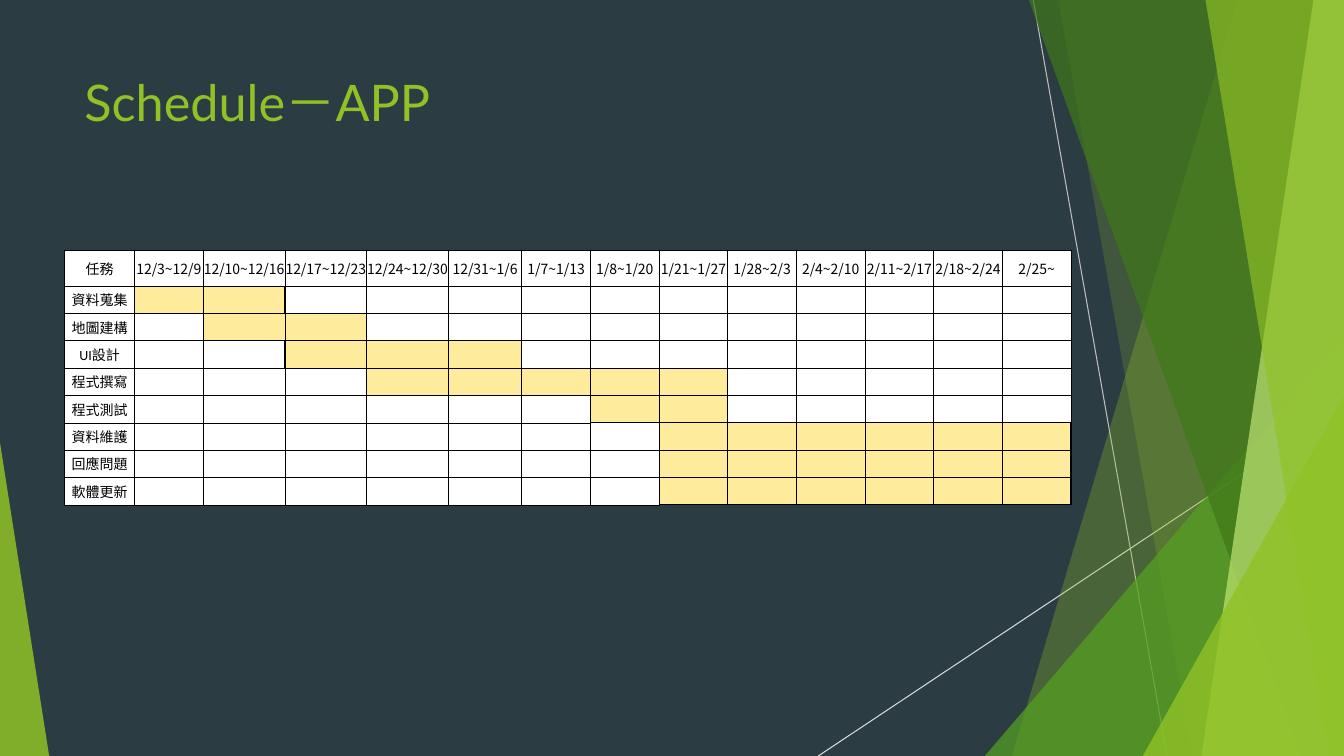
from lxml.etree import SubElement
from pptx import Presentation
from pptx.dml.color import RGBColor
from pptx.enum.shapes import MSO_CONNECTOR, MSO_SHAPE
from pptx.enum.text import MSO_ANCHOR, PP_ALIGN
from pptx.oxml.ns import qn
from pptx.util import Cm, Pt

TITLE = "Schedule－APP"
WEEKS = ["12/3~12/9", "12/10~12/16", "12/17~12/23", "12/24~12/30", "12/31~1/6",
         "1/7~1/13", "1/8~1/20", "1/21~1/27", "1/28~2/3", "2/4~2/10",
         "2/11~2/17", "2/18~2/24", "2/25~"]
# Task, first and last busy week (counted from 1)
TASKS = [
    ("資料蒐集", 1, 2),
    ("地圖建構", 2, 3),
    ("UI設計", 3, 5),
    ("程式撰寫", 4, 8),
    ("程式測試", 7, 8),
    ("資料維護", 8, 13),
    ("回應問題", 8, 13),
    ("軟體更新", 8, 13),
]
HEADER = ["任務", *WEEKS]

BACKDROP = RGBColor(0x2C, 0x3C, 0x43)
LIME = RGBColor(0x90, 0xC2, 0x26)
GREEN = RGBColor(0x54, 0xA0, 0x21)
FOREST = RGBColor(0x3F, 0x78, 0x19)
PALE_LIME = RGBColor(0xC0, 0xE4, 0x74)
GREY = RGBColor(0xBF, 0xBF, 0xBF)
LIGHT_GREY = RGBColor(0xD9, 0xD9, 0xD9)
WHITE = RGBColor(0xFF, 0xFF, 0xFF)
BLACK = RGBColor(0, 0, 0)
BUSY = RGBColor(0xFF, 0xEB, 0x9C)
CJK_FONT = "Noto Sans CJK TC"

# Lengths in cm
WIDTH, HEIGHT = 33.87, 19.05
RAYS = [((26.04, 0), (29.41, HEIGHT), GREY),
        ((WIDTH, 10.24), (20.62, HEIGHT), LIGHT_GREY)]
# Bands reach the right edge: x of slanted side at top and bottom, colour, opacity
# Triangles: left, top, width, apex position, colour, opacity
DECOR = [
    ("band", 31.19, 25.5, LIME, 30),
    ("band", 26.67, 30.05, LIME, 20),
    ("triangle", 24.82, 8.46, 9.05, 1, GREEN, 72),
    ("band", 25.93, 32.79, FOREST, 70),
    ("band", 33.1, 30.28, PALE_LIME, 70),
    ("band", 30.38, 33.48, LIME, 65),
    ("triangle", 28.8, 9.98, 5.07, 1, LIME, 80),
    ("triangle", 0, 11.15, 1.24, 0, LIME, 85),
]
COLUMN_WIDTHS = [1.76, 1.73, 2.06, 2.06, 2.06, 1.85] + [1.73] * 8
ROW_HEIGHTS = [0.89] + [0.69] * len(TASKS)

prs = Presentation()
prs.slide_width, prs.slide_height = Cm(WIDTH), Cm(HEIGHT)
slide = prs.slides.add_slide(prs.slide_layouts[6])
slide.background.fill.solid()
slide.background.fill.fore_color.rgb = BACKDROP


def band(top_x, bottom_x):
    outline = slide.shapes.build_freeform(Cm(top_x), 0)
    corners = [(WIDTH, 0), (WIDTH, HEIGHT), (bottom_x, HEIGHT)]
    outline.add_line_segments([(Cm(x), Cm(y)) for x, y in corners], close=True)
    return outline.convert_to_shape()


def triangle(left, top, width, apex):
    shape = slide.shapes.add_shape(MSO_SHAPE.ISOSCELES_TRIANGLE, Cm(left), Cm(top),
                                   Cm(width), Cm(HEIGHT - top))
    shape.adjustments[0] = apex
    return shape


def format_font(font, **values):
    font.color.rgb = values.pop("color")
    for name, value in values.items():
        setattr(font, name, value)


def is_busy(row, column):
    if not 1 <= row <= len(TASKS):
        return False
    _, first, last = TASKS[row - 1]
    return first <= column <= last


def draw_borders(cell, row, column):
    """Outline busy cells row by row with 1 pt, everything else with 0.5 pt."""
    here = is_busy(row, column)
    heavy = {
        "L": here != is_busy(row, column - 1),
        "R": here != is_busy(row, column + 1),
        "T": here or is_busy(row - 1, column),
        "B": here or is_busy(row + 1, column),
    }
    for side, thick in heavy.items():
        line = SubElement(cell._tc.get_or_add_tcPr(), qn(f"a:ln{side}"),
                          w=str(Pt(1 if thick else 0.5)))
        SubElement(SubElement(line, qn("a:solidFill")), qn("a:srgbClr"), val=str(BLACK))


def write_cell(cell, text):
    paragraph = cell.text_frame.paragraphs[0]
    paragraph.alignment = PP_ALIGN.CENTER
    if text:
        run = paragraph.add_run()
        run.text = text
        format_font(run.font, name="Calibri" if text.startswith("UI") else CJK_FONT,
                    size=Pt(10), color=BLACK)
        SubElement(run.font._element, qn("a:ea"), typeface=CJK_FONT)
    else:
        SubElement(paragraph._p, qn("a:endParaRPr"), sz="1000")


for start, end, color in RAYS:
    ray = slide.shapes.add_connector(MSO_CONNECTOR.STRAIGHT, *map(Cm, start + end))
    ray.line.color.rgb = color
    ray.line.width = Pt(0.75)
    SubElement(ray._element.spPr, qn("a:effectLst"))

for kind, *place, color, opacity in DECOR:
    facet = band(*place) if kind == "band" else triangle(*place)
    facet.shadow.inherit = False
    facet.line.fill.background()
    facet.fill.solid()
    facet.fill.fore_color.rgb = color
    tint = facet._element.spPr.find(f"{qn('a:solidFill')}/{qn('a:srgbClr')}")
    SubElement(tint, qn("a:alpha"), val=str(opacity * 1000))

title = slide.shapes.add_textbox(Cm(1.88), Cm(1.68), Cm(23.88), Cm(3.66)).text_frame
title.word_wrap = True
title_run = title.paragraphs[0].add_run()
title_run.text = TITLE
format_font(title_run.font, name="Lato", size=Pt(36), color=LIME)

schedule = slide.shapes.add_table(len(ROW_HEIGHTS), len(HEADER), Cm(1.63), Cm(6.32),
                                  Cm(sum(COLUMN_WIDTHS)), Cm(sum(ROW_HEIGHTS))).table
schedule.first_row = schedule.horz_banding = False
for column, width in zip(schedule.columns, COLUMN_WIDTHS):
    column.width = Cm(width)
for row, height in zip(schedule.rows, ROW_HEIGHTS):
    row.height = Cm(height)

CELL_FORMAT = {"margin_left": 0, "margin_right": 0, "margin_top": 0, "margin_bottom": 0,
               "vertical_anchor": MSO_ANCHOR.MIDDLE}
rows = [HEADER] + [[task] + [""] * len(WEEKS) for task, _, _ in TASKS]
for r, texts in enumerate(rows):
    for c, text in enumerate(texts):
        cell = schedule.cell(r, c)
        for name, value in CELL_FORMAT.items():
            setattr(cell, name, value)
        write_cell(cell, text)
        draw_borders(cell, r, c)
        cell.fill.solid()
        cell.fill.fore_color.rgb = BUSY if is_busy(r, c) else WHITE

prs.save("out.pptx")
